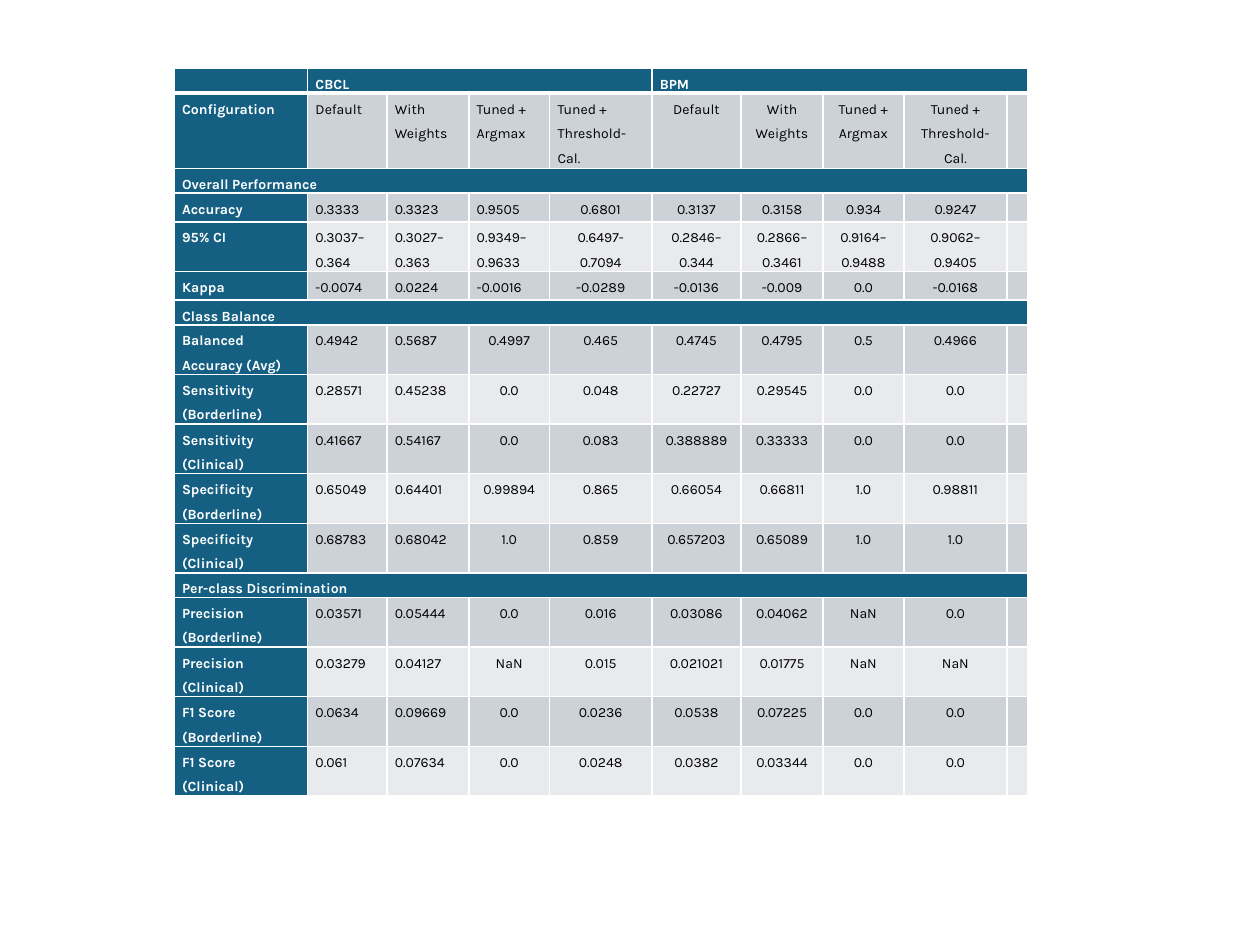
from lxml import etree
from pptx import Presentation
from pptx.dml.color import RGBColor
from pptx.enum.text import PP_ALIGN
from pptx.oxml.ns import qn
from pptx.util import Cm, Pt

LEFT, CENTER = PP_ALIGN.LEFT, PP_ALIGN.CENTER
BLANK_LAYOUT = 6
FONT, TEXT_SIZE = "Karla", 8
COLORS = {"head": "156082", "dark_band": "CCD2D8", "light_band": "E8EAED",
          "white": "FFFFFF", "black": "000000"}

COLUMN_WIDTHS = [2.69, 1.6, 1.65, 1.63, 2.06, 1.8, 1.65, 1.63, 2.08, 0.23]
SINGLE, AIRY, DOUBLE, TRIPLE = 0.48, 0.58, 1.0, 1.52
ROW_HEIGHTS = ([SINGLE, TRIPLE, SINGLE, AIRY, DOUBLE, AIRY, SINGLE]
               + [DOUBLE] * 5 + [SINGLE] + [DOUBLE] * 4)

SETTINGS = ["Default", "With Weights", "Tuned + Argmax", "Tuned + Threshold-Cal."]
# A row with one entry is a section heading
ROWS = [
    ["", "CBCL", "", "", "", "BPM"],
    ["Configuration", *SETTINGS, *SETTINGS],
    ["Overall Performance"],
    ["Accuracy", "0.3333", "0.3323", "0.9505", "0.6801",
     "0.3137", "0.3158", "0.934", "0.9247"],
    ["95% CI", "0.3037–0.364", "0.3027–0.363", "0.9349–0.9633", "0.6497-0.7094",
     "0.2846–0.344", "0.2866–0.3461", "0.9164–0.9488", "0.9062–0.9405"],
    ["Kappa", "-0.0074", "0.0224", "-0.0016", "-0.0289",
     "-0.0136", "-0.009", "0.0", "-0.0168"],
    ["Class Balance"],
    ["Balanced Accuracy (Avg)", "0.4942", "0.5687", "0.4997", "0.465",
     "0.4745", "0.4795", "0.5", "0.4966"],
    ["Sensitivity (Borderline)", "0.28571", "0.45238", "0.0", "0.048",
     "0.22727", "0.29545", "0.0", "0.0"],
    ["Sensitivity (Clinical)", "0.41667", "0.54167", "0.0", "0.083",
     "0.388889", "0.33333", "0.0", "0.0"],
    ["Specificity (Borderline)", "0.65049", "0.64401", "0.99894", "0.865",
     "0.66054", "0.66811", "1.0", "0.98811"],
    ["Specificity (Clinical)", "0.68783", "0.68042", "1.0", "0.859",
     "0.657203", "0.65089", "1.0", "1.0"],
    ["Per-class Discrimination"],
    ["Precision (Borderline)", "0.03571", "0.05444", "0.0", "0.016",
     "0.03086", "0.04062", "NaN", "0.0"],
    ["Precision (Clinical)", "0.03279", "0.04127", "NaN", "0.015",
     "0.021021", "0.01775", "NaN", "NaN"],
    ["F1 Score (Borderline)", "0.0634", "0.09669", "0.0", "0.0236",
     "0.0538", "0.07225", "0.0", "0.0"],
    ["F1 Score (Clinical)", "0.061", "0.07634", "0.0", "0.0248",
     "0.0382", "0.03344", "0.0", "0.0"],
]


def write_text(cell, text, color="black", bold=False, align=LEFT):
    cell.margin_left = cell.margin_right = Cm(0.16)
    cell.margin_top = cell.margin_bottom = 0
    para = cell.text_frame.paragraphs[0]
    para.alignment = align
    para.line_spacing = 1.5
    if not text:
        # Keeps an empty cell from stretching its row
        etree.SubElement(para._p, qn("a:endParaRPr"), sz=str(TEXT_SIZE * 100))
        return
    span = para.add_run()
    span.text = text
    span.font.name = FONT
    span.font.size = Pt(TEXT_SIZE)
    span.font.bold = bold
    span.font.color.rgb = RGBColor.from_string(COLORS[color])


def add_borders(cell, top=1, bottom=1):
    properties = cell._tc.get_or_add_tcPr()
    for side, points in (("L", 1), ("R", 1), ("T", top), ("B", bottom)):
        line = etree.SubElement(properties, qn(f"a:ln{side}"), w=str(Pt(points)))
        fill = etree.SubElement(line, qn("a:solidFill"))
        etree.SubElement(fill, qn("a:srgbClr"), val=COLORS["white"])


def value_alignment(row, column):
    """Values are centred from a column that moves left further down."""
    first_centered = 5 if row < 3 else 4 if row < 7 else 3
    return CENTER if column >= first_centered else LEFT


def add_results_table(page, left, top, width, height):
    frame = page.shapes.add_table(len(ROWS), len(COLUMN_WIDTHS),
                                  left, top, width, height)
    table = frame.table
    table.first_row = table.horz_banding = False
    for column, size in zip(table.columns, COLUMN_WIDTHS):
        column.width = Cm(size)
    for row, size in zip(table.rows, ROW_HEIGHTS):
        row.height = Cm(size)

    # Cells: head colour for titles and labels, bands for values
    last = len(COLUMN_WIDTHS) - 1
    for r, entries in enumerate(ROWS):
        is_section = len(entries) == 1
        for c in range(last + 1):
            cell = table.cell(r, c)
            is_head = r == 0 or c == 0 or is_section
            band = "dark_band" if r % 2 else "light_band"
            write_text(cell, entries[c] if c < len(entries) else "",
                       color="white" if is_head else "black", bold=is_head,
                       align=LEFT if is_head else value_alignment(r, c))
            add_borders(cell, top=3 if r == 1 else 1, bottom=3 if r == 0 else 1)
            cell.fill.solid()
            cell.fill.fore_color.rgb = RGBColor.from_string(
                COLORS["head" if is_head else band])
        if is_section:
            table.cell(r, 0).merge(table.cell(r, last))

    # Group headings
    table.cell(0, 1).merge(table.cell(0, 4))
    table.cell(0, 5).merge(table.cell(0, last))


def main():
    deck = Presentation()
    deck.slide_width, deck.slide_height = Cm(25.4), Cm(19.05)
    page = deck.slides.add_slide(deck.slide_layouts[BLANK_LAYOUT])
    add_results_table(page, Cm(3.51), Cm(1.38),
                      Cm(sum(COLUMN_WIDTHS)), Cm(sum(ROW_HEIGHTS)))
    deck.save("out.pptx")


if __name__ == "__main__":
    main()
